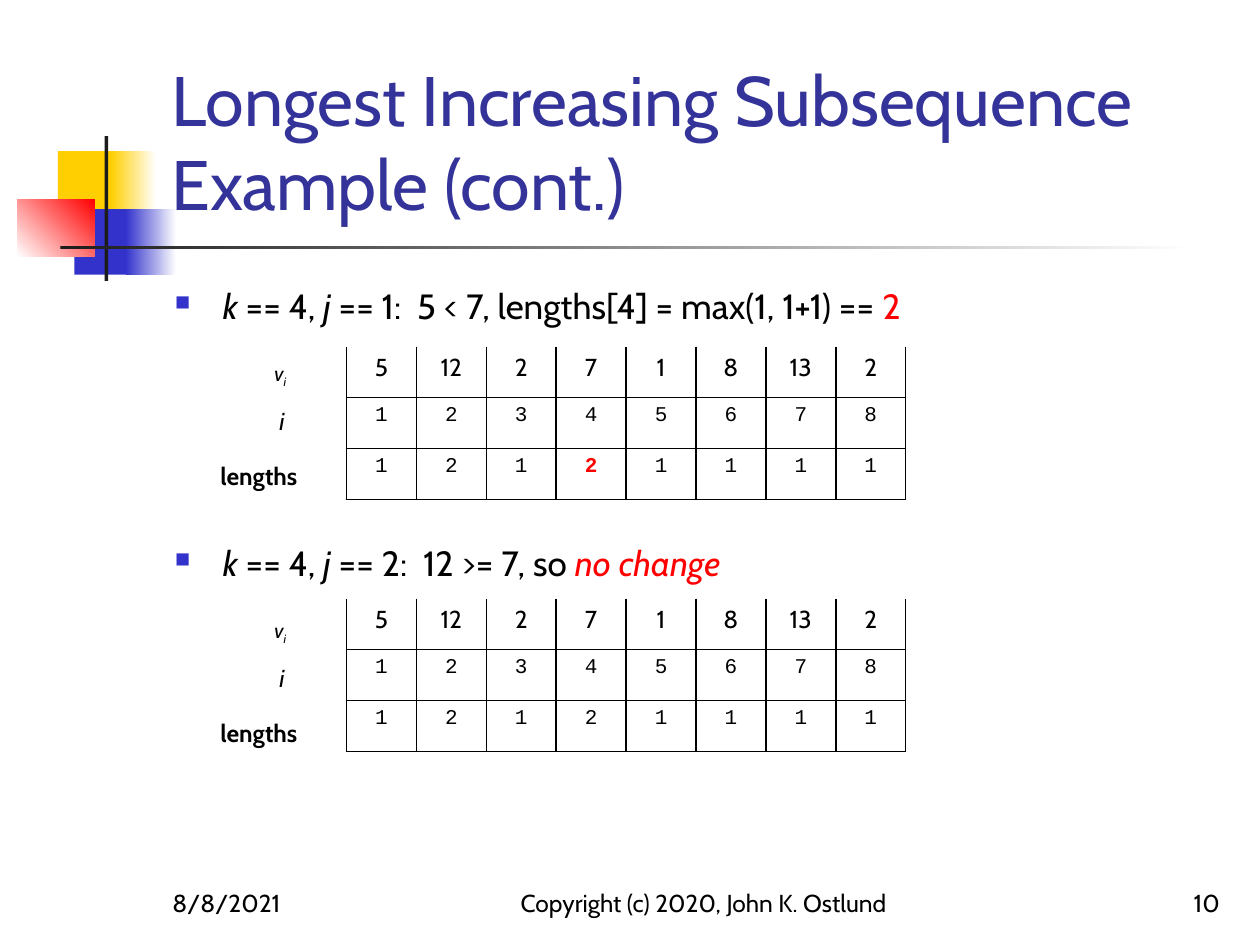
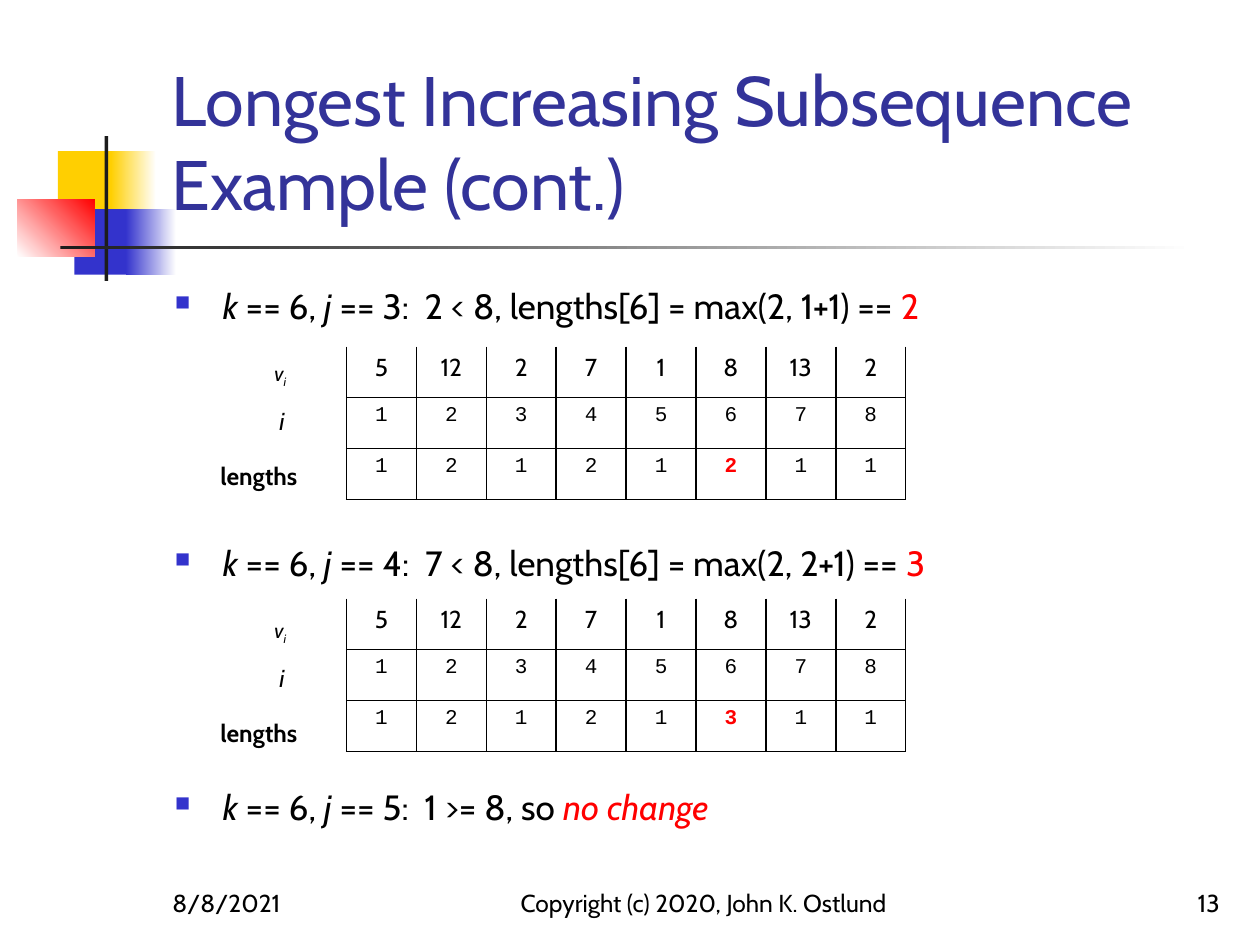
from dataclasses import dataclass
from typing import NamedTuple, Optional

from lxml.etree import SubElement
from pptx import Presentation
from pptx.dml.color import RGBColor
from pptx.enum.shapes import MSO_SHAPE
from pptx.enum.text import MSO_ANCHOR, MSO_AUTO_SIZE, PP_ALIGN
from pptx.oxml import parse_xml
from pptx.oxml.ns import nsdecls, qn
from pptx.util import Inches, Pt

BLACK = RGBColor(0x00, 0x00, 0x00)
WHITE = RGBColor(0xFF, 0xFF, 0xFF)
RED = RGBColor(0xFF, 0x00, 0x00)
YELLOW = RGBColor(0xFF, 0xCF, 0x01)
BLUE = RGBColor(0x33, 0x33, 0xCC)
TITLE_BLUE = RGBColor(0x33, 0x33, 0x99)
DARK = RGBColor(0x1C, 0x1C, 0x1C)

FONT = "Cabin"
MONO = "Courier New"
TITLE = "Longest Increasing Subsequence Example (cont.)"
VALUES = [5, 12, 2, 7, 1, 8, 13, 2]
INDICES = list(range(1, len(VALUES) + 1))

GRID_LEFT = 2.75
GRID_TOPS = (2.75, 4.75)
CELL_WIDTH = 4.44 / len(VALUES)
ROW_HEIGHT = 0.405
LINE_HEIGHT = 1.215  # height of a text line relative to its size


class Block(NamedTuple):
    left: float
    top: float
    width: float
    height: float
    color: RGBColor
    end_color: Optional[RGBColor] = None
    angle: float = 0


class Footer(NamedTuple):
    left: float
    width: float
    align: PP_ALIGN


class Span(NamedTuple):
    text: str
    size: float = 20
    italic: bool = False
    bold: bool = False
    color: RGBColor = BLACK
    baseline: int = 0


class Label(NamedTuple):
    indent: float
    gap: float  # free space above, as the size of a text line
    spans: list[Span]


@dataclass
class Step:
    k: int
    j: int
    reasoning: str
    result: str
    lengths: Optional[list[int]] = None

    @property
    def is_update(self) -> bool:
        return self.result != "no change"


@dataclass
class ExampleSlide:
    number: int
    steps: list[Step]


BLOCKS = [
    Block(0.46, 1.2, 0.48, 0.52, YELLOW),
    Block(0.88, 1.2, 0.36, 0.52, YELLOW, WHITE),
    Block(0.59, 1.66, 0.46, 0.52, BLUE),
    Block(1, 1.66, 0.4, 0.52, BLUE, WHITE),
    Block(0.14, 1.58, 0.61, 0.46, WHITE, RED, 45),
    Block(0.83, 1.08, 0.03, 1.15, DARK),
    Block(0.48, 1.95, 9, 0.03, DARK, WHITE),
]
DATE = Footer(1.27, 2.08, PP_ALIGN.LEFT)
COPYRIGHT = Footer(4, 3.17, PP_ALIGN.CENTER)
NUMBER = Footer(7.7, 2.08, PP_ALIGN.RIGHT)

ROW_LABELS = [
    Label(0.79, 16, [Span("v", 12, italic=True),
                     Span("i", 12, italic=True, baseline=-25000)]),
    Label(0.83, 8, [Span("i", 14, italic=True)]),
    Label(0.36, 12, [Span("lengths", 14, bold=True)]),
]
STEP_GAPS = (0, 24, 18)

SLIDES = [
    ExampleSlide(10, [
        Step(4, 1, "5 < 7, lengths[4] = max(1, 1+1) == ", "2",
             [1, 2, 1, 2, 1, 1, 1, 1]),
        Step(4, 2, "12 >= 7, so ", "no change", [1, 2, 1, 2, 1, 1, 1, 1]),
    ]),
    ExampleSlide(13, [
        Step(6, 3, "2 < 8, lengths[6] = max(2, 1+1) == ", "2",
             [1, 2, 1, 2, 1, 2, 1, 1]),
        Step(6, 4, "7 < 8, lengths[6] = max(2, 2+1) == ", "3",
             [1, 2, 1, 2, 1, 3, 1, 1]),
        Step(6, 5, "1 >= 8, so ", "no change"),
    ]),
]


def style(r, size: float, color: RGBColor = BLACK, bold: bool = False,
          font: str = FONT) -> None:
    r.font.name = font
    r.font.size = Pt(size)
    r.font.bold = bold
    r.font.color.rgb = color


def add_blocks_to_layout(layout, slide) -> None:
    """Draw the blocks on the slide, then move them to its layout."""
    for n, b in enumerate(BLOCKS):
        s = slide.shapes.add_shape(
            MSO_SHAPE.RECTANGLE, Inches(b.left), Inches(b.top),
            Inches(b.width), Inches(b.height))
        s.shadow.inherit = False
        s.line.fill.background()
        if b.end_color is None:
            s.fill.solid()
            s.fill.fore_color.rgb = b.color
        else:
            s.fill.gradient()
            s.fill.gradient_angle = b.angle
            for stop, color in zip(s.fill.gradient_stops,
                                   (b.color, b.end_color)):
                stop.color.rgb = color
        s.element.nvSpPr.cNvPr.set("id", str(20 + n))
        layout.shapes.element.append(s.element)


def set_title(slide) -> None:
    s = slide.shapes.title
    s.left, s.top = Inches(1.26), Inches(0.23)
    s.width, s.height = Inches(8.52), Inches(1.6)
    tf = s.text_frame
    tf.text = TITLE
    tf.auto_size = MSO_AUTO_SIZE.NONE
    tf.vertical_anchor = MSO_ANCHOR.BOTTOM
    p = tf.paragraphs[0]
    p.alignment = PP_ALIGN.LEFT
    style(p.runs[0], 40, TITLE_BLUE)


def add_footer(slide, footer: Footer, text: str) -> None:
    box = slide.shapes.add_textbox(Inches(footer.left), Inches(6.83),
                                   Inches(footer.width), Inches(0.5))
    tf = box.text_frame
    tf.word_wrap = True
    tf.vertical_anchor = MSO_ANCHOR.BOTTOM
    tf.text = text
    p = tf.paragraphs[0]
    p.alignment = footer.align
    style(p.runs[0], 14)


def set_bullet(p) -> None:
    pPr = p._p.get_or_add_pPr()
    pPr.set("marL", str(Inches(0.38)))
    pPr.set("indent", str(-Inches(0.38)))
    color = SubElement(pPr, qn("a:buClr"))
    SubElement(color, qn("a:srgbClr"), val=str(BLUE))
    SubElement(pPr, qn("a:buSzPct"), val="60000")
    SubElement(pPr, qn("a:buChar"), char="■")


def fill_paragraph(p, spans: list[Span], gap: float) -> None:
    if gap:
        p.space_before = Pt(round(gap * LINE_HEIGHT, 1))
    for span in spans:
        r = p.add_run()
        r.text = span.text
        style(r, span.size, span.color, span.bold)
        r.font.italic = span.italic
        if span.baseline:
            r._r.get_or_add_rPr().set("baseline", str(span.baseline))


def step_spans(step: Step) -> list[Span]:
    return [
        Span("k", italic=True),
        Span(f" == {step.k}, "),
        Span("j", italic=True),
        Span(f" == {step.j}:  {step.reasoning}"),
        Span(step.result, italic=not step.is_update, color=RED),
    ]


def add_body(slide, steps: list[Step]) -> None:
    box = slide.shapes.add_textbox(Inches(1.29), Inches(2.21),
                                   Inches(8.5), Inches(4.5))
    tf = box.text_frame
    tf.word_wrap = True
    for n, step in enumerate(steps):
        p = tf.add_paragraph() if n else tf.paragraphs[0]
        set_bullet(p)
        fill_paragraph(p, step_spans(step), STEP_GAPS[n])
        if step.lengths is None:
            continue
        for label in ROW_LABELS:
            p = tf.add_paragraph()
            p._p.get_or_add_pPr().set("marL", str(Inches(label.indent)))
            fill_paragraph(p, label.spans, label.gap)


def set_borders(cell, sides: str) -> None:
    """Rule the given sides (letters of LRTB) and clear the others."""
    tcPr = cell._tc.get_or_add_tcPr()
    for n, side in enumerate("LRTB"):
        fill = (f'<a:solidFill><a:srgbClr val="{BLACK}"/></a:solidFill>'
                if side in sides else "<a:noFill/>")
        tcPr.insert(n, parse_xml(
            f'<a:ln{side} {nsdecls("a")} w="{Pt(1)}">{fill}</a:ln{side}>'))


def add_grid(slide, top: float, rows: list[list[int]], size: float, font: str,
             sides: str, marked: Optional[tuple[int, int]] = None) -> None:
    table = slide.shapes.add_table(
        len(rows), len(VALUES), Inches(GRID_LEFT), Inches(top),
        Inches(CELL_WIDTH * len(VALUES)), Inches(ROW_HEIGHT * len(rows))).table
    table.first_row = table.horz_banding = False
    for y, row in enumerate(rows):
        for x, value in enumerate(row):
            cell = table.cell(y, x)
            cell.fill.background()
            set_borders(cell, sides)
            cell.text_frame.text = str(value)
            p = cell.text_frame.paragraphs[0]
            p.alignment = PP_ALIGN.CENTER
            is_marked = (y, x) == marked
            style(p.runs[0], size, RED if is_marked else BLACK, is_marked, font)


def add_step_grids(slide, top: float, step: Step) -> None:
    marked = (1, step.k - 1) if step.is_update else None
    add_grid(slide, top + ROW_HEIGHT, [INDICES, step.lengths], 12, MONO,
             "LRTB", marked)
    add_grid(slide, top, [VALUES], 14, FONT, "LR")


def main() -> None:
    prs = Presentation()
    prs.slide_width, prs.slide_height = Inches(10), Inches(7.5)
    layout = prs.slide_layouts[5]
    for n, example in enumerate(SLIDES):
        slide = prs.slides.add_slide(layout)
        if n == 0:
            add_blocks_to_layout(layout, slide)
        set_title(slide)
        add_body(slide, example.steps)
        for top, step in zip(GRID_TOPS, example.steps):
            add_step_grids(slide, top, step)
        add_footer(slide, DATE, "8/8/2021")
        add_footer(slide, COPYRIGHT, "Copyright (c) 2020, John K. Ostlund")
        add_footer(slide, NUMBER, str(example.number))
    prs.save("out.pptx")


if __name__ == "__main__":
    main()
